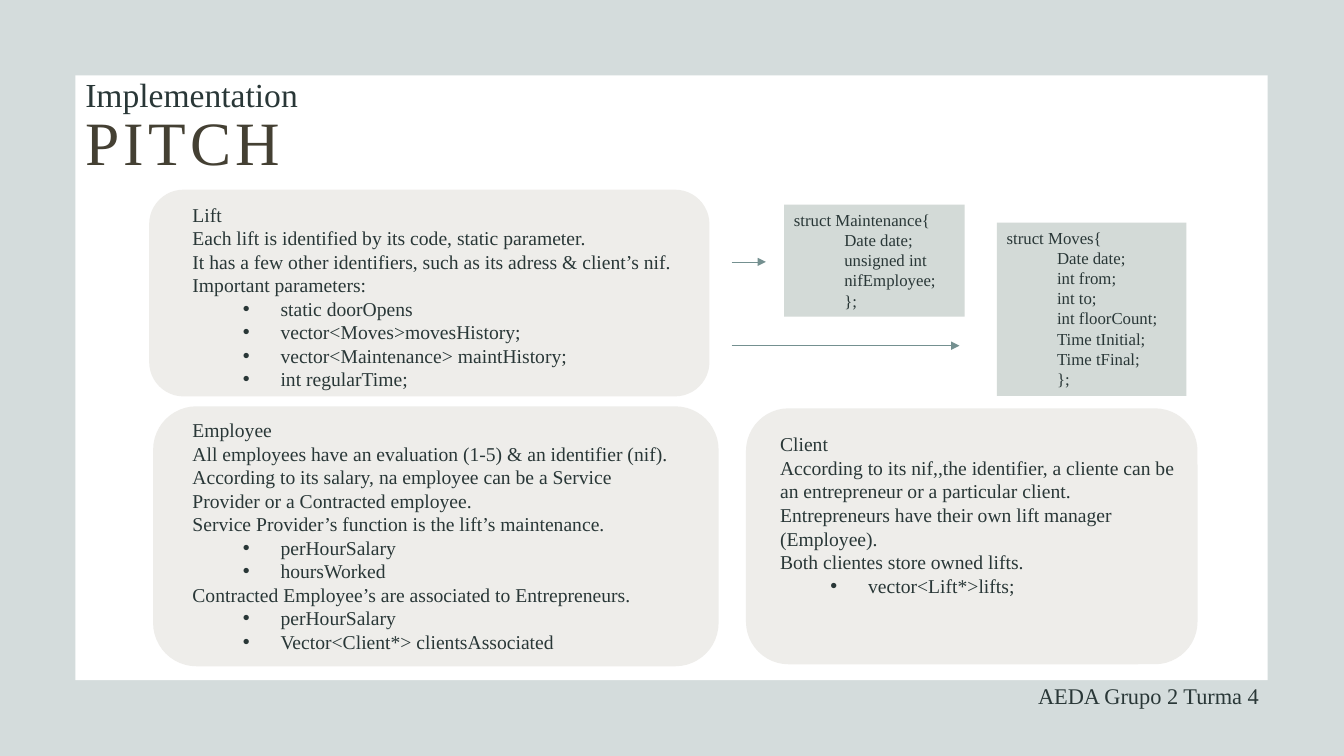
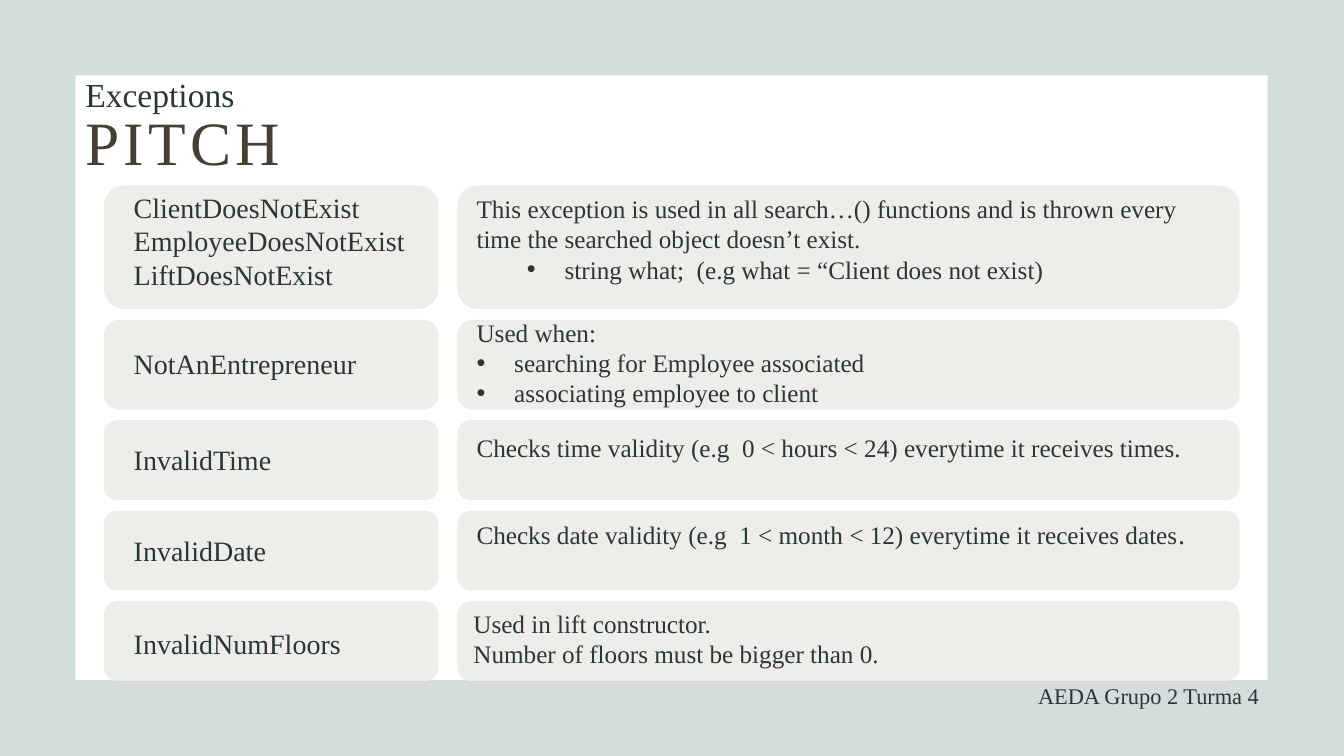
"""Build the two PITCH slides on the implementation and the exceptions of a lift system."""
from dataclasses import dataclass

from pptx import Presentation
from pptx.dml.color import RGBColor
from pptx.enum.shapes import MSO_CONNECTOR, MSO_SHAPE
from pptx.enum.text import MSO_ANCHOR, MSO_AUTO_SIZE, PP_ALIGN
from pptx.oxml.ns import qn
from pptx.util import Cm, Pt
from lxml import etree

RECT, ROUND = MSO_SHAPE.RECTANGLE, MSO_SHAPE.ROUNDED_RECTANGLE
STRAIGHT = MSO_CONNECTOR.STRAIGHT
TOP, BOTTOM = MSO_ANCHOR.TOP, MSO_ANCHOR.BOTTOM
LEFT, RIGHT = PP_ALIGN.LEFT, PP_ALIGN.RIGHT
NO_FIT = MSO_AUTO_SIZE.NONE

FONT = "Times New Roman"
BACKDROP, PANEL, CARD, CODE = "D4DCDC", "FFFFFF", "EEEDEA", "D3DAD7"
INK, TITLE_INK, ARROW = "293737", "444033", "749090"
TITLE, FOOTER = "PITCH", "AEDA Grupo 2 Turma 4"

STYLES = {
    "plain": {"level": 0, "margin": 0, "hang": 0},
    "code": {"level": 1, "margin": 1.27, "hang": 0},
    "item": {"level": 1, "margin": 2.22, "hang": 0.95},
    "flush": {"level": 0, "margin": 0.95, "hang": 0.95},
}


@dataclass
class Line:
    text: str
    style: str = "plain"
    tail: str = ""
    tail_size: int = 20


CLASSES = [
    {"card": (3.76, 4.78, 14.12, 5.21), "text": (4.6, 4.98, 12.75, 5.05), "lines": [
        Line("Lift"),
        Line("Each lift is identified by its code, static parameter."),
        Line("It has a few other identifiers, such as its adress & client’s nif."),
        Line("Important parameters:"),
        Line("static doorOpens", "item"),
        Line("vector<Moves>movesHistory;", "item"),
        Line("vector<Maintenance> maintHistory;", "item"),
        Line("int regularTime;", "item")]},
    {"card": (3.86, 10.24, 14.25, 6.55), "text": (4.6, 10.41, 12.75, 6.68), "lines": [
        Line("Employee"),
        Line("All employees have an evaluation (1-5) & an identifier (nif)."),
        Line("According to its salary, na employee can be a Service Provider "
             "or a Contracted employee."),
        Line("Service Provider’s function is the lift’s maintenance."),
        Line("perHourSalary", "item"),
        Line("hoursWorked", "item"),
        Line("Contracted Employee’s are associated to Entrepreneurs."),
        Line("perHourSalary", "item"),
        Line("Vector<Client*> clientsAssociated", "item")]},
    {"card": (18.8, 10.29, 11.38, 6.45), "text": (19.41, 10.77, 10.59, 4.45), "lines": [
        Line("Client"),
        Line("According to its nif,,the identifier, a cliente can be an entrepreneur "
             "or a particular client."),
        Line("Entrepreneurs have their own lift manager (Employee)."),
        Line("Both clientes store owned lifts."),
        Line("vector<Lift*>lifts;", "item")]},
]
STRUCTS = [
    ((19.76, 5.16, 4.55, 2.82), "struct Maintenance{",
     ["Date date;", "unsigned int nifEmployee;", "};"]),
    ((25.12, 5.61, 4.78, 4.37), "struct Moves{",
     ["Date date;", "int from;", "int to;", "int floorCount;",
      "Time tInitial;", "Time tFinal;", "};"]),
]
ARROW_START = 18.44
ARROWS = [(19.3, 6.6), (24.18, 8.71)]

ROWS_TOP, ROW_GAP = 4.67, 0.27
NAME_LEFT, NAME_WIDTH, NAME_INDENT = 2.62, 8.43, 0.5
DETAIL_LEFT, DETAIL_WIDTH = 11.53, 19.71
EXCEPTIONS = [
    {"height": 3.12, "name_top": 4.67, "detail_at": (11.76, 4.75),
     "names": ["ClientDoesNotExist", "EmployeeDoesNotExist", "LiftDoesNotExist"],
     "details": [
         Line("This exception is used in all search…() functions and is thrown "
              "every time the searched object doesn’t exist."),
         Line("string what;  (e.g what = “Client does not exist)", "item")]},
    {"height": 2.26, "name_top": 8.61, "detail_at": (11.76, 7.87),
     "names": ["NotAnEntrepreneur"],
     "details": [Line("Used when:"),
                 Line("searching for Employee associated", "flush"),
                 Line("associating employee to client", "flush")]},
    {"height": 2.01, "name_top": 11.02, "detail_at": (11.76, 10.77),
     "names": ["InvalidTime"],
     "details": [Line("Checks time validity (e.g  0 < hours < 24) everytime "
                      "it receives times.")]},
    {"height": 2.01, "name_top": 13.31, "detail_at": (11.76, 12.9),
     "names": ["InvalidDate"],
     "details": [Line("Checks date validity (e.g  1 < month < 12) everytime "
                      "it receives dates", tail=".")]},
    {"height": 2.01, "name_top": 15.67, "detail_at": (11.68, 15.21),
     "names": ["InvalidNumFloors"],
     "details": [Line("Used in lift constructor."),
                 Line("Number of floors must be bigger than 0.")]},
]


def color(value):
    return RGBColor.from_string(value)


def lengths(area):
    return [Cm(value) for value in area]


def add_span(para, text, size, ink, tracking):
    span = para.add_run()
    span.text = text
    span.font.name, span.font.size = FONT, Pt(size)
    span.font.color.rgb = color(ink)
    if tracking:
        span.font._element.set("spc", str(tracking * 100))


def write(shape, lines, size, ink=INK, align=LEFT, anchor=TOP, spacing=None, tracking=0):
    frame = shape.text_frame
    frame.word_wrap, frame.auto_size = True, NO_FIT
    frame.vertical_anchor = anchor
    for index, line in enumerate(lines):
        para = frame.paragraphs[0] if index == 0 else frame.add_paragraph()
        style = STYLES[line.style]
        para.level, para.alignment = style["level"], align
        properties = para._p.get_or_add_pPr()
        properties.set("marL", str(Cm(style["margin"])))
        properties.set("indent", str(-Cm(style["hang"])))
        if style["hang"]:
            etree.SubElement(properties, qn("a:buFont")).set("typeface", "Arial")
            etree.SubElement(properties, qn("a:buChar")).set("char", "•")
        if spacing:
            para.line_spacing = spacing
        add_span(para, line.text, size, ink, tracking)
        if line.tail:
            add_span(para, line.tail, line.tail_size, ink, tracking)


def add_text(page, area, lines, size, **formatting):
    box = page.shapes.add_textbox(*lengths(area))
    write(box, lines, size, **formatting)


def add_block(page, area, fill, kind=ROUND):
    block = page.shapes.add_shape(kind, *lengths(area))
    block.shadow.inherit = False
    block.fill.solid()
    block.fill.fore_color.rgb = color(fill)
    block.line.fill.background()
    return block


def add_arrow(page, start, end, height):
    arrow = page.shapes.add_connector(STRAIGHT, *lengths((start, height, end, height)))
    arrow.line.color.rgb = color(ARROW)
    arrow.line.width = Pt(0.5)
    properties = arrow._element.spPr
    etree.SubElement(properties.find(qn("a:ln")), qn("a:tailEnd")).set("type", "triangle")
    etree.SubElement(properties, qn("a:effectLst"))


def add_page(deck, heading):
    page = deck.slides.add_slide(deck.slide_layouts[5])
    panel = add_block(page, (1.9, 1.9, 30.05, 15.24), PANEL, RECT)
    title = page.shapes.title
    panel._element.addnext(title._element)
    title.left, title.top, title.width, title.height = lengths((1.9, 2.34, 26.37, 2.29))
    write(title, [Line(TITLE)], 44, ink=TITLE_INK, anchor=BOTTOM, spacing=0.9, tracking=3)
    add_text(page, (1.9, 1.75, 6.91, 1.27), [Line(heading)], 24)
    add_text(page, (9.42, 17.07, 22.56, 1.5), [Line(FOOTER)], 16, align=RIGHT)
    return page


def add_implementation(deck):
    page = add_page(deck, "Implementation")
    for part in CLASSES:
        add_block(page, part["card"], CARD)
        add_text(page, part["text"], part["lines"], 14)
    for area, opening, body in STRUCTS:
        block = add_block(page, area, CODE, RECT)
        write(block, [Line(opening)] + [Line(text, "code") for text in body], 12)
    for end, height in ARROWS:
        add_arrow(page, ARROW_START, end, height)


def add_exceptions(deck):
    page = add_page(deck, "Exceptions")
    top = ROWS_TOP
    for row in EXCEPTIONS:
        height = row["height"]
        add_block(page, (NAME_LEFT, top, NAME_WIDTH, height), CARD)
        add_block(page, (DETAIL_LEFT, top, DETAIL_WIDTH, height), CARD)
        names = [Line(name) for name in row["names"]]
        name_area = (NAME_LEFT + NAME_INDENT, row["name_top"], NAME_WIDTH,
                     0.27 + 0.85 * len(names))
        add_text(page, name_area, names, 20)
        add_text(page, (*row["detail_at"], 19, height), row["details"], 18)
        top += height + ROW_GAP


def main():
    deck = Presentation()
    deck.slide_width, deck.slide_height = lengths((33.87, 19.05))
    backdrop = deck.slide_master.background.fill
    backdrop.solid()
    backdrop.fore_color.rgb = color(BACKDROP)
    add_implementation(deck)
    add_exceptions(deck)
    deck.save("out.pptx")


if __name__ == "__main__":
    main()
